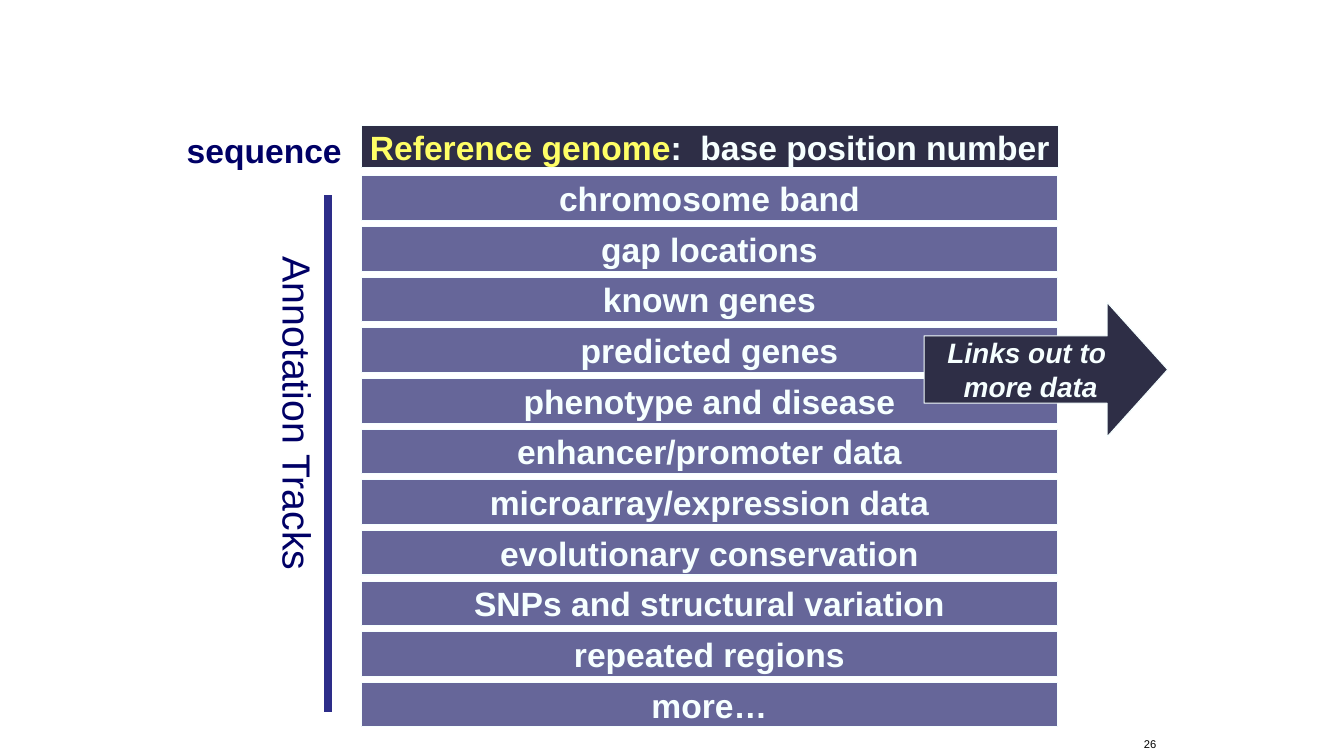
from pptx import Presentation
from pptx.dml.color import RGBColor
from pptx.enum.shapes import MSO_CONNECTOR, MSO_SHAPE
from pptx.enum.text import MSO_ANCHOR, PP_ALIGN
from pptx.util import Inches, Pt
from lxml.etree import SubElement
from pptx.oxml.ns import qn

PALE = RGBColor(0xF6, 0xFF, 0xFF)
YELLOW = RGBColor(0xFF, 0xFF, 0x66)
DARK = RGBColor(0x2E, 0x2E, 0x46)
VIOLET = RGBColor(0x66, 0x66, 0x99)
NAVY = RGBColor(0x00, 0x00, 0x66)
BLUE = RGBColor(0x2D, 0x2D, 0x89)
BLACK = RGBColor(0x02, 0x02, 0x02)

TRACKS = [
    "chromosome band",
    "gap locations",
    "known genes",
    "predicted genes",
    "phenotype and disease",
    "enhancer/promoter data",
    "microarray/expression data",
    "evolutionary conservation",
    "SNPs and structural variation",
    "repeated regions",
    "more…",
]

deck = Presentation()
deck.slide_width = Inches(13.33)
deck.slide_height = Inches(7.5)
COLUMN = deck.slide_width / 160
ROW = deck.slide_height / 90
page = deck.slides.add_slide(deck.slide_layouts[6])


def area(column, row, columns, rows):
    return (round(column * COLUMN), round(row * ROW),
            round(columns * COLUMN), round(rows * ROW))


def write(shape, lines, size=24, color=PALE, bold=True, italic=False,
          align=PP_ALIGN.CENTER, anchor=MSO_ANCHOR.MIDDLE, wrap=False):
    frame = shape.text_frame
    frame.word_wrap = wrap
    frame.vertical_anchor = anchor
    for index, spans in enumerate(lines):
        para = frame.add_paragraph() if index else frame.paragraphs[0]
        para.alignment = align
        for text, span_color in spans:
            span = para.add_run()
            span.text = text
            span.font.name = "Arial"
            span.font.size = Pt(size)
            span.font.bold = bold
            span.font.italic = italic
            span.font.color.rgb = span_color or color


number = page.shapes.add_textbox(*area(135, 87, 5, 3))
write(number, [[("26", None)]], size=8, color=BLACK, bold=False,
      align=PP_ALIGN.LEFT, anchor=MSO_ANCHOR.BOTTOM, wrap=True)

sequence = page.shapes.add_textbox(*area(21.05, 14.9, 21, 6.1))
write(sequence, [[("sequence", None)]], color=NAVY,
      align=PP_ALIGN.LEFT, anchor=MSO_ANCHOR.TOP)

annotation = page.shapes.add_textbox(*area(30.9, 29.4, 8, 39))
write(annotation, [[("Annotation Tracks", None)]], size=28, color=NAVY, bold=False,
      align=PP_ALIGN.LEFT, anchor=MSO_ANCHOR.TOP)
annotation.text_frame._txBody.bodyPr.set("vert", "eaVert")

left, top, _, height = area(39.05, 23.25, 0, 61.5)
bracket = page.shapes.add_connector(MSO_CONNECTOR.STRAIGHT, left, top, left, top + height)
bracket.line.color.rgb = BLUE
bracket.line.width = Pt(6)
SubElement(bracket._element.spPr, qn("a:effectLst"))

blocks = [(MSO_SHAPE.RECTANGLE, area(43, 15, 83, 5), DARK,
           [[("Reference genome", YELLOW), (":  base position number", None)]], {})]
for index, track in enumerate(TRACKS):
    blocks.append((MSO_SHAPE.RECTANGLE, area(43, 20.95 + 6.03 * index, 82.9, 5.3), VIOLET,
                   [[(track, None)]], {}))
blocks.append((MSO_SHAPE.RIGHT_ARROW, area(110, 36, 29, 16), DARK,
               [[("Links out to ", None)], [("more data", None)]],
               {"size": 20, "italic": True}))

for kind, place, fill, lines, style in blocks:
    block = page.shapes.add_shape(kind, *place)
    block.shadow.inherit = False
    block.fill.solid()
    block.fill.fore_color.rgb = fill
    block.line.color.rgb = PALE
    block.line.width = Pt(0.75)
    if kind == MSO_SHAPE.RIGHT_ARROW:
        block.adjustments[0] = 0.5
        block.adjustments[1] = 0.45
    write(block, lines, **style)

deck.save("out.pptx")
